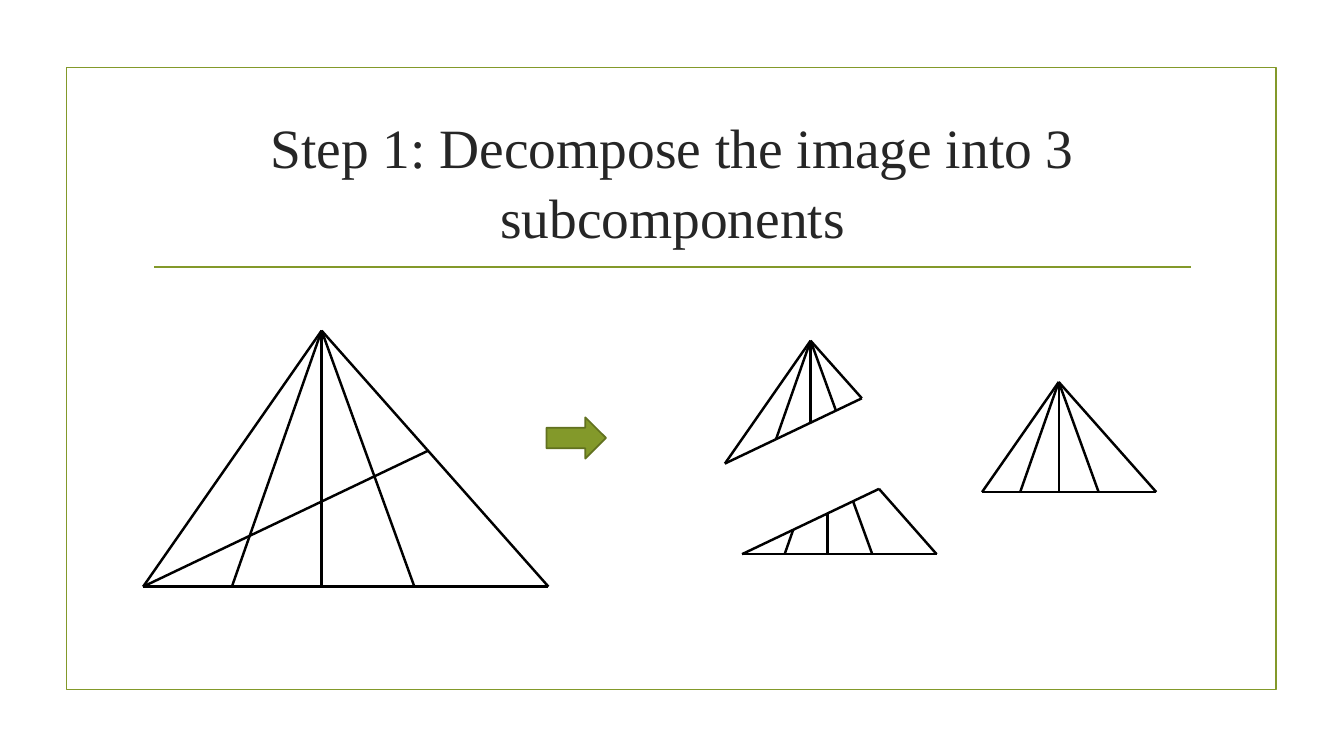
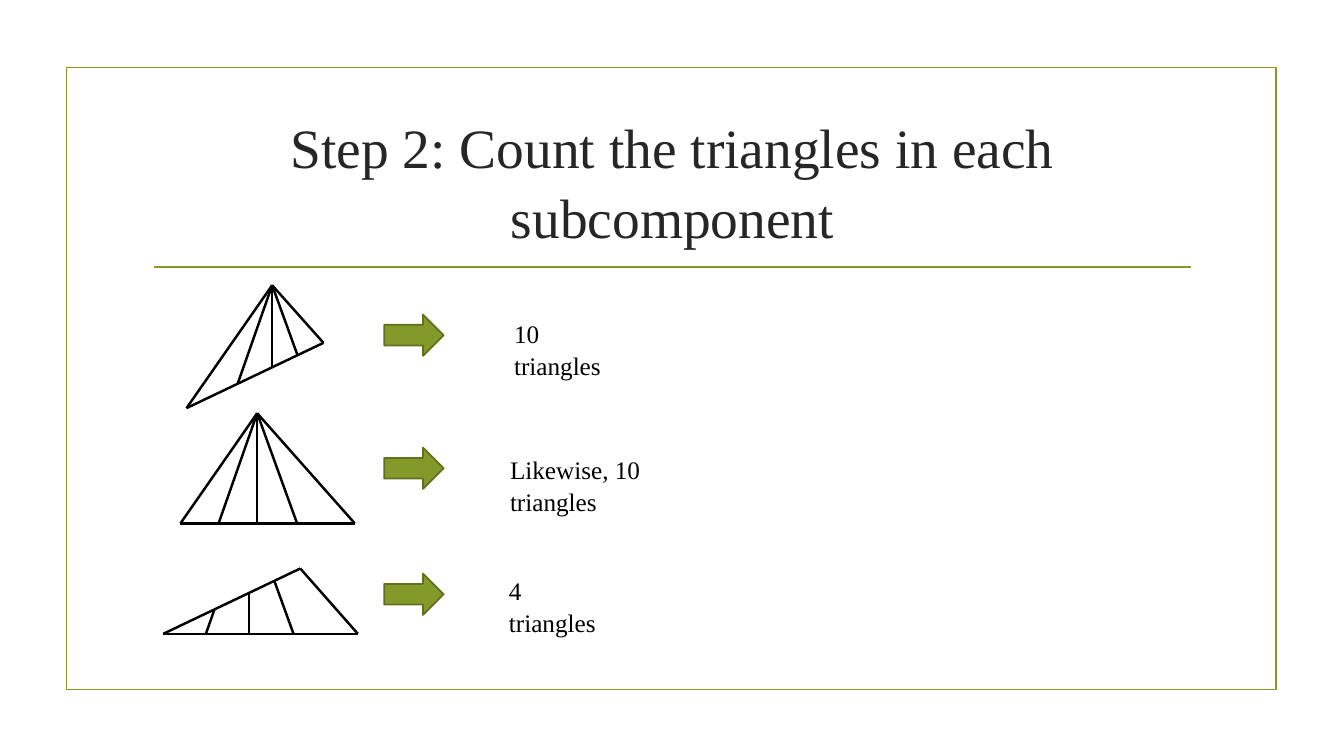
from lxml import etree
from pptx import Presentation
from pptx.dml.color import RGBColor
from pptx.enum.shapes import MSO_CONNECTOR, MSO_SHAPE
from pptx.enum.text import MSO_ANCHOR, MSO_AUTO_SIZE, PP_ALIGN
from pptx.oxml.ns import qn
from pptx.util import Inches, Pt

STRAIGHT = MSO_CONNECTOR.STRAIGHT
RECTANGLE, RIGHT_ARROW = MSO_SHAPE.RECTANGLE, MSO_SHAPE.RIGHT_ARROW
MIDDLE, CENTER, NO_FIT = MSO_ANCHOR.MIDDLE, PP_ALIGN.CENTER, MSO_AUTO_SIZE.NONE

FONT = "Times New Roman"
GREEN, DARK_GREEN, INK, BLACK = "83992A", "61711F", "262626", "000000"
TITLE_ONLY = 5

# Full-size triangle, in inches from its top left corner
APEX, LEFT, RIGHT = (1.77, 0), (0, 2.54), (4.02, 2.54)
FEET = [(x, 2.54) for x in (0.88, 1.77, 2.69)]
CUT_END = (2.83, 1.19)
PIECE_SCALE, WHOLE_SCALE = 0.48, 0.43


def rgb(color):
    return RGBColor.from_string(color)


def add_line(shapes, start, end, color, width):
    line = shapes.add_connector(STRAIGHT, *map(Inches, start + end))
    line.line.color.rgb = rgb(color)
    line.line.width = Pt(width)
    etree.SubElement(line._element.spPr, qn("a:effectLst"))


def add_box(s, preset, box, line, fill=None):
    sp = s.shapes.add_shape(preset, *map(Inches, box))
    sp.shadow.inherit = False
    sp.line.color.rgb = rgb(line)
    sp.line.width = Pt(1.25)
    if fill:
        sp.fill.solid()
        sp.fill.fore_color.rgb = rgb(fill)
    else:
        sp.fill.background()


def write(tf, text, size, color, spacing):
    tf.word_wrap = True
    tf.auto_size = NO_FIT
    p = tf.paragraphs[0]
    p.line_spacing = spacing
    r = p.add_run()
    r.text = text
    r.font.name, r.font.size = FONT, Pt(size)
    r.font.color.rgb = rgb(color)
    return p


def add_slide(prs, title):
    """Slide with the frame, the title and the rule below it."""
    s = prs.slides.add_slide(prs.slide_layouts[TITLE_ONLY])
    add_box(s, RECTANGLE, (0.66, 0.67, 12, 6.17), GREEN)
    add_line(s.shapes, (1.53, 2.65), (11.81, 2.65), GREEN, 1.25)
    sp = s.shapes.title
    sp.left, sp.top, sp.width, sp.height = map(Inches, (1.42, 1.07, 10.5, 1.43))
    sp.text_frame.vertical_anchor = MIDDLE
    write(sp.text_frame, title, 39.6, INK, 1.04).alignment = CENTER
    return s


def crossing(foot):
    """Point where the line from the apex to a foot meets the cut."""
    slope = (LEFT[1] - CUT_END[1]) / CUT_END[0]
    t = (LEFT[1] - slope * APEX[0]) / (LEFT[1] + slope * (foot[0] - APEX[0]))
    return APEX[0] + t * (foot[0] - APEX[0]), t * foot[1]


def fan(left, right, feet):
    return [(left, right)] + [(APEX, end) for end in (left, right, *feet)]


CROSSINGS = [crossing(foot) for foot in FEET]
CUT = (LEFT, CUT_END)
WHOLE = fan(LEFT, RIGHT, FEET)
UPPER = fan(LEFT, CUT_END, CROSSINGS)
LOWER = [CUT, (CUT_END, RIGHT), (RIGHT, LEFT), *zip(CROSSINGS, FEET)]


def add_figure(s, segments, left, top, scale):
    """Draw segments as one group whose top left corner is (left, top)."""
    shapes = s.shapes.add_group_shape().shapes
    first_y = min(y for segment in segments for _, y in segment)
    for segment in segments:
        start, end = [(left + x * scale, top + (y - first_y) * scale)
                      for x, y in segment]
        add_line(shapes, start, end, BLACK, 1.75)


def add_arrow(s, left, top):
    add_box(s, RIGHT_ARROW, (left, top, 0.59, 0.41), DARK_GREEN, GREEN)


def add_label(s, text, left, top, width):
    sp = s.shapes.add_textbox(*map(Inches, (left, top, width, 0.4)))
    write(sp.text_frame, text, 18, BLACK, 1.06)


def build_decompose(prs):
    s = add_slide(prs, "Step 1: Decompose the image into 3 subcomponents")
    add_figure(s, WHOLE + [CUT], 1.42, 3.28, 1)
    add_arrow(s, 5.42, 4.14)
    add_figure(s, UPPER, 7.19, 3.38, PIECE_SCALE)
    add_figure(s, LOWER, 7.36, 4.85, PIECE_SCALE)
    add_figure(s, WHOLE, 9.74, 3.79, WHOLE_SCALE)


def build_count(prs):
    s = add_slide(prs, "Step 2: Count the triangles in each subcomponent")
    # Figure with its place and scale, arrow top, label with its place and width
    rows = [
        ((UPPER, 1.85, 2.83, PIECE_SCALE), 3.12, ("10 triangles", 5, 3.09, 1.32)),
        ((WHOLE, 1.79, 4.1, WHOLE_SCALE), 4.44,
         ("Likewise, 10 triangles", 4.96, 4.44, 2.28)),
        ((LOWER, 1.62, 5.64, PIECE_SCALE), 5.69, ("4 triangles", 4.95, 5.64, 1.2)),
    ]
    for figure, arrow_top, label in rows:
        add_figure(s, *figure)
        add_arrow(s, 3.81, arrow_top)
        add_label(s, *label)


def main():
    prs = Presentation()
    prs.slide_width, prs.slide_height = Inches(13.33), Inches(7.5)
    build_decompose(prs)
    build_count(prs)
    prs.save("out.pptx")


if __name__ == "__main__":
    main()
